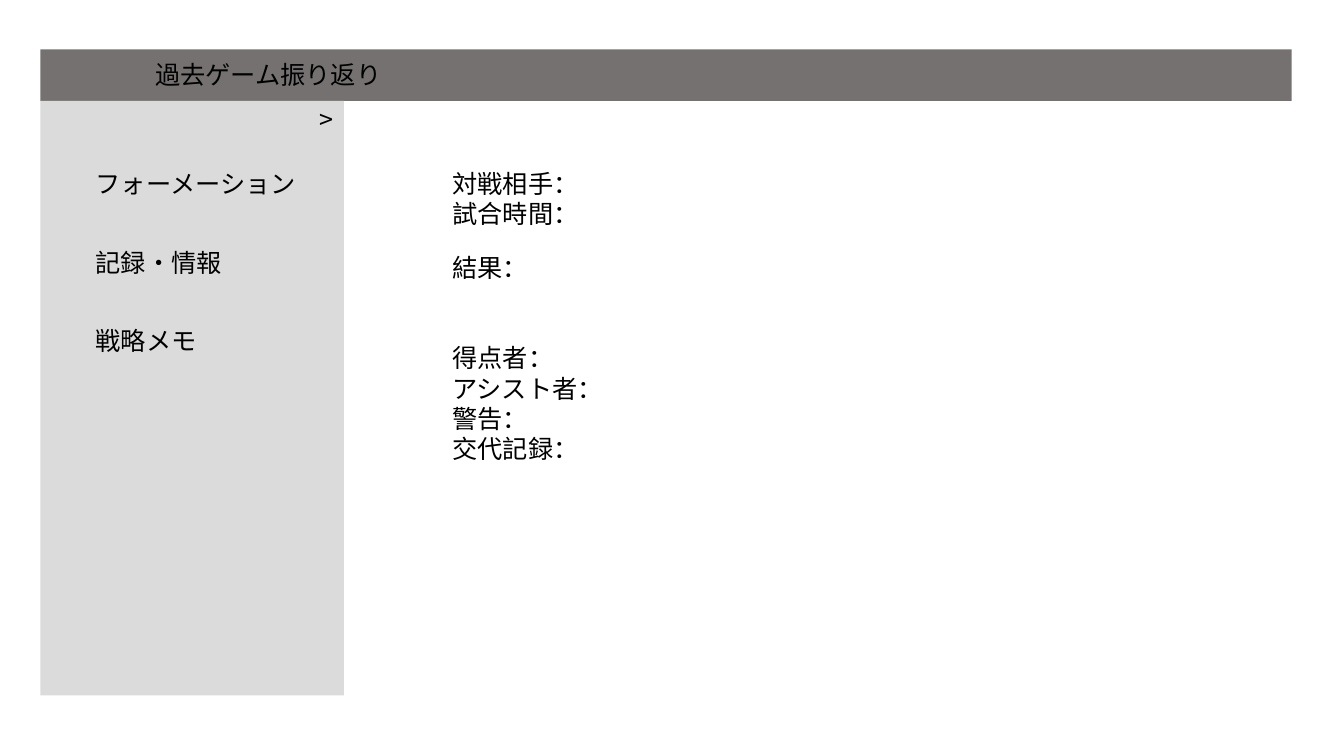
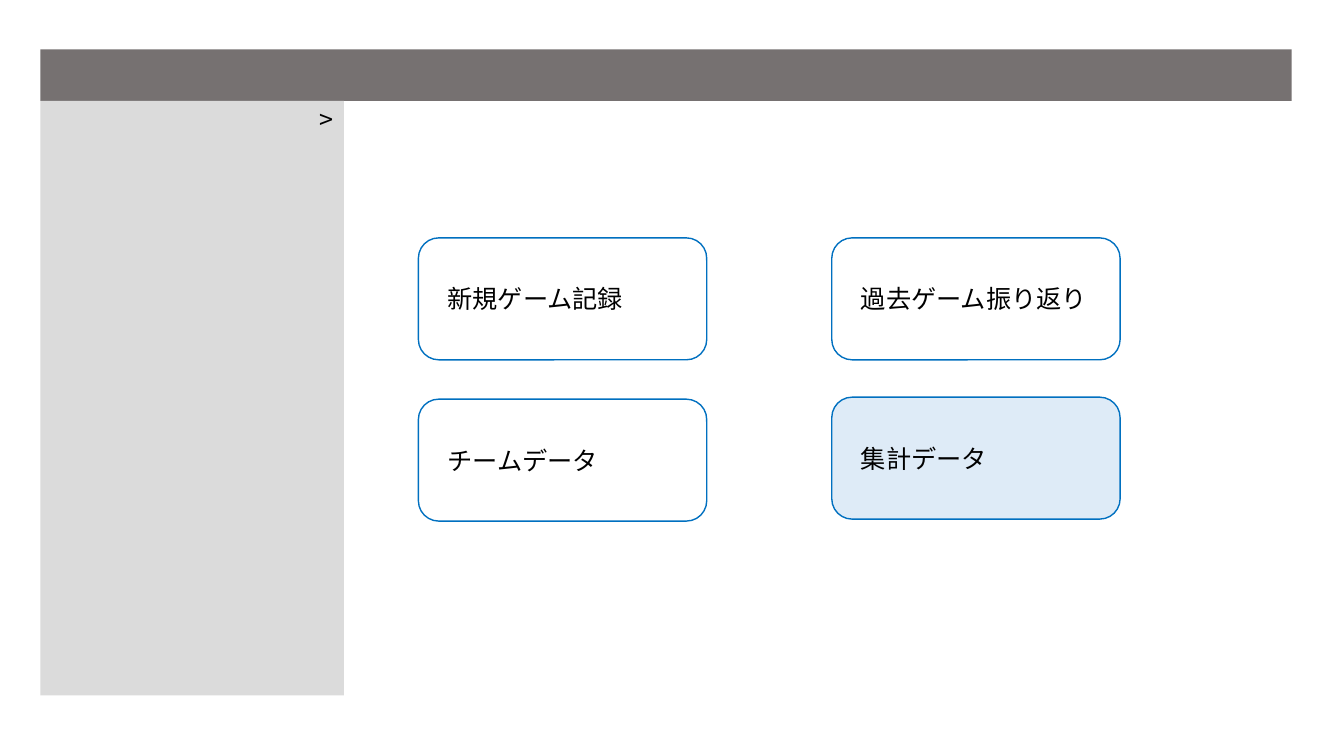
"""Build two screen mock-ups of a game record app."""
from pptx import Presentation
from pptx.dml.color import RGBColor
from pptx.enum.shapes import MSO_SHAPE as Shape
from pptx.enum.text import MSO_ANCHOR as Anchor, MSO_AUTO_SIZE as AutoSize, PP_ALIGN as Align
from pptx.oxml.ns import qn
from pptx.util import Inches, Pt

FONT = "Noto Sans CJK JP"
COLORS = {"text": "000000", "band": "767171", "sidebar": "DBDBDB",
          "outline": "0070C0", "selected": "DEEBF7"}
TITLE_ONLY, BLANK = 5, 6
BAND = (0.4, 0.49, 12.41, 0.51)
SIDEBAR = (0.4, 1, 3.01, 5.9)
TOGGLE = (3.02, 1, 0.39, 0.4)
TITLE = (1.44, 0.54, 2.47, 0.4)
LINE_HEIGHT, FIELD_WIDTH = 0.4, 2.28

REVIEW_TITLE = "過去ゲーム振り返り"
MENU = ["フォーメーション", "記録・情報", "戦略メモ"]
MENU_LEFT, MENU_TOP, MENU_STEP = 0.85, 1.62, 0.78
FIELDS_LEFT = 4.39
FIELD_GROUPS = [
    (1.62, 0.71, ["対戦相手：", "試合時間："]),
    (2.45, 0.4, ["結果："]),
    (3.35, 1.31, ["得点者：", "アシスト者：", "警告：", "交代記録："]),
]
BUTTON_WIDTH, BUTTON_HEIGHT = 2.86, 1.21
BUTTONS = [
    ("新規ゲーム記録", 4.15, 2.36, None),
    (REVIEW_TITLE, 8.25, 2.36, None),
    ("チームデータ", 4.15, 3.96, None),
    ("集計データ", 8.25, 3.94, "selected"),
]


def color(name):
    """Return the named colour."""
    return RGBColor.from_string(COLORS[name])


def write(frame, lines, size=18, anchor=Anchor.TOP, wrap=True):
    """Fill a text frame with one left-aligned paragraph per line."""
    frame.word_wrap = wrap
    frame.auto_size = AutoSize.NONE
    frame.vertical_anchor = anchor
    for index, line in enumerate(lines):
        para = frame.add_paragraph() if index else frame.paragraphs[0]
        para.alignment = Align.LEFT
        span = para.add_run()
        span.text = line
        span.font.size = Pt(size)
        span.font.name = FONT
        span.font.color.rgb = color("text")
        latin = span.font._element.find(qn("a:latin"))
        east_asian = latin.makeelement(qn("a:ea"), {"typeface": FONT})
        latin.addnext(east_asian)


def add_text(page, place, lines, rotation=0, **style):
    """Add a text box."""
    box = page.shapes.add_textbox(*map(Inches, place))
    box.rotation = rotation
    write(box.text_frame, lines, **style)


def add_box(page, place, kind=Shape.RECTANGLE, fill=None, outline=None):
    """Add a flat shape with an optional fill and outline."""
    box = page.shapes.add_shape(kind, *map(Inches, place))
    box.shadow.inherit = False
    if fill:
        box.fill.solid()
        box.fill.fore_color.rgb = color(fill)
    else:
        box.fill.background()
    if outline:
        box.line.color.rgb = color(outline)
        box.line.width = Pt(1)
    else:
        box.line.fill.background()
    return box


def add_screen(deck, layout):
    """Add a slide with the shared band, sidebar and toggle."""
    page = deck.slides.add_slide(deck.slide_layouts[layout])
    add_box(page, BAND, fill="band")
    add_box(page, SIDEBAR, fill="sidebar")
    add_text(page, TOGGLE, ["<"], rotation=180)
    return page


def build_review(deck):
    """Build the past game review screen."""
    page = add_screen(deck, TITLE_ONLY)
    title = page.shapes.title
    title.left, title.top, title.width, title.height = map(Inches, TITLE)
    write(title.text_frame, [REVIEW_TITLE])
    title.element.getparent().append(title.element)
    for row, label in enumerate(MENU):
        top = MENU_TOP + row * MENU_STEP
        add_text(page, (MENU_LEFT, top, FIELD_WIDTH, LINE_HEIGHT), [label])
    for top, height, labels in FIELD_GROUPS:
        add_text(page, (FIELDS_LEFT, top, FIELD_WIDTH, height), labels)


def build_home(deck):
    """Build the home screen with its four buttons."""
    page = add_screen(deck, BLANK)
    for label, left, top, fill in BUTTONS:
        button = add_box(page, (left, top, BUTTON_WIDTH, BUTTON_HEIGHT),
                         kind=Shape.ROUNDED_RECTANGLE, fill=fill, outline="outline")
        button.text_frame.margin_left = Inches(0.23)
        button.text_frame.margin_right = 0
        write(button.text_frame, [label], anchor=Anchor.MIDDLE)


def main():
    """Build and save the deck."""
    deck = Presentation()
    deck.slide_width, deck.slide_height = Inches(13.33), Inches(7.5)
    build_review(deck)
    build_home(deck)
    deck.save("out.pptx")


if __name__ == "__main__":
    main()
